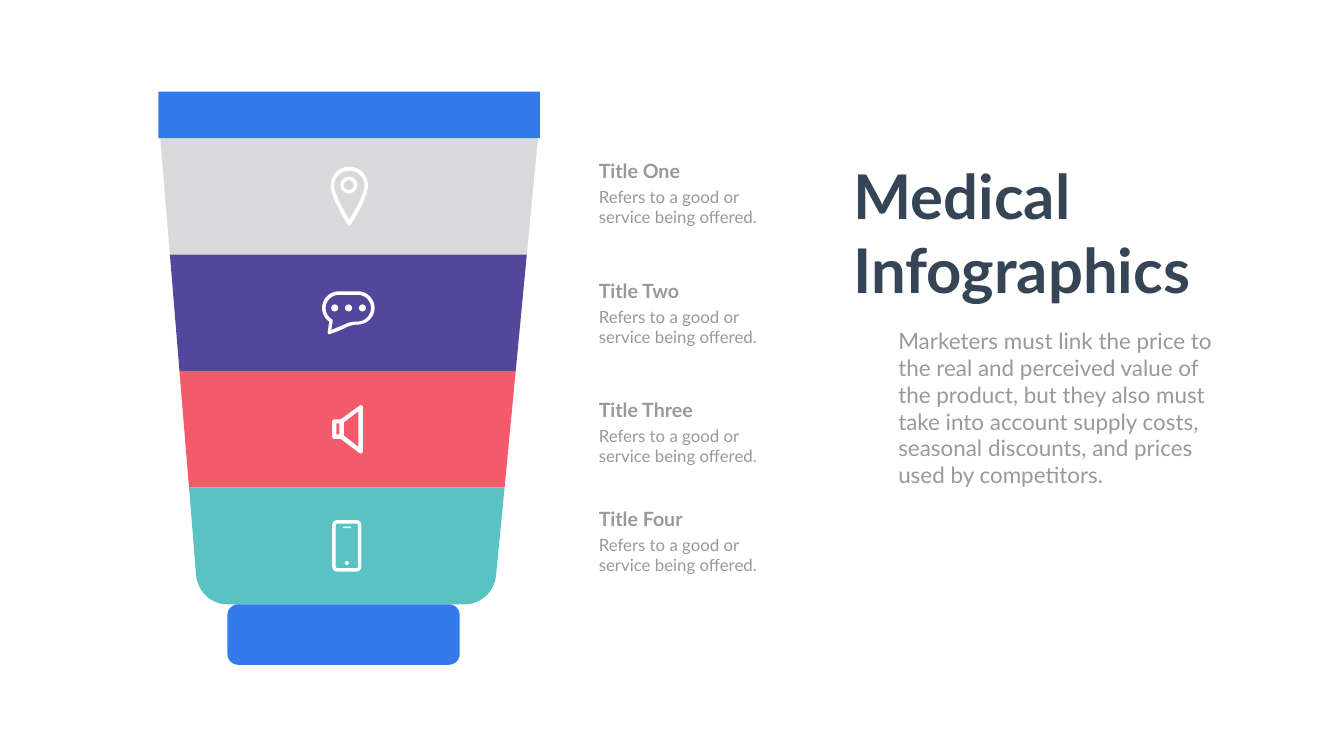
from dataclasses import dataclass
from typing import NamedTuple

from pptx import Presentation
from pptx import util as u
from pptx.dml.color import RGBColor
from pptx.enum import shapes, text

# The grid: one column and one row are one inch
COLUMNS, ROWS = 26.66, 15


@dataclass(frozen=True)
class Theme:
    font: str = "Lato"
    heading: str = "364556"
    muted: str = "999999"
    cap: str = "347AEB"
    icon: str = "FFFFFF"
    heading_size: int = 88
    intro_size: int = 32
    step_size: int = 28
    detail_size: int = 24


class Box(NamedTuple):
    left: float
    top: float
    width: float
    height: float


class Step(NamedTuple):
    title: str
    color: str
    row: float
    title_width: float


THEME = Theme()
STEPS = [
    Step("Title One", "D9D8DA", 3.10, 1.83),
    Step("Title Two", "52479B", 5.48, 1.86),
    Step("Title Three", "F45A69", 7.85, 2.11),
    Step("Title Four", "58C3C2", 10.00, 1.90),
]
DETAIL = "Refers to a good or\nservice being offered."
INTRO = ("Marketers must link the price to the real and perceived value of the product, "
         "but they also must take into account supply costs, seasonal discounts, "
         "and prices used by competitors.")

# Tube geometry
TUBE_LEFT, TUBE_RIGHT, TUBE_TOP, TUBE_BOTTOM = 3.18, 10.67, 2.74, 11.99
BAND_HEIGHT, LEFT_TAPER, RIGHT_TAPER = 2.31, 0.19, 0.22
STEP_LEFT, DETAIL_DROP = 11.78, 0.55


def trace(start: tuple, *segments: tuple, samples: int = 12) -> list:
    """Points along lines (x, y) and cubic curves (x1, y1, x2, y2, x, y)."""
    points = [start]
    for segment in segments:
        if len(segment) == 2:
            points.append(segment)
            continue
        controls = [points[-1], segment[:2], segment[2:4], segment[4:]]
        for i in range(1, samples + 1):
            t = i / samples
            weights = ((1 - t) ** 3, 3 * t * (1 - t) ** 2, 3 * t * t * (1 - t), t ** 3)
            points.append(tuple(sum(w * c[axis] for w, c in zip(weights, controls))
                                for axis in (0, 1)))
    return points


def mirrored(half: list, center: float) -> list:
    return half + [(2 * center - x, y) for x, y in reversed(half)]


def rounded(box: Box, radius: float) -> list:
    x, y, right, bottom = box.left, box.top, box.left + box.width, box.top + box.height
    k = radius * 0.45
    half = trace((x + box.width / 2, y), (x + radius, y),
                 (x + k, y, x, y + k, x, y + radius), (x, bottom - radius),
                 (x, bottom - k, x + k, bottom, x + radius, bottom))
    return mirrored(half, (x + right) / 2)


def paint(shape, color: str) -> None:
    shape.fill.solid()
    shape.fill.fore_color.rgb = RGBColor.from_string(color)
    shape.line.fill.background()
    shape.shadow.inherit = False


def add_outline(slide, color: str, *contours: list) -> None:
    """Fill one outline; further contours cut holes in it."""
    emu = [[(u.Inches(x), u.Inches(y)) for x, y in contour] for contour in contours]
    builder = slide.shapes.build_freeform(*emu[0][0], scale=1.0)
    for i, contour in enumerate(emu):
        if i:
            builder.move_to(*contour[0])
        builder.add_line_segments(contour[1:], close=True)
    paint(builder.convert_to_shape(), color)


def add_preset(slide, kind, box: Box, color: str):
    shape = slide.shapes.add_shape(kind, *(u.Inches(v) for v in box))
    paint(shape, color)
    return shape


def write(shape, words: str, *, size: int, color: str = THEME.muted,
          bold: bool = False, wrap: bool = False) -> None:
    frame = shape.text_frame
    frame.text = words
    frame.word_wrap = wrap
    frame.auto_size = text.MSO_AUTO_SIZE.SHAPE_TO_FIT_TEXT
    frame.vertical_anchor = text.MSO_ANCHOR.TOP
    for paragraph in frame.paragraphs:
        paragraph.alignment = text.PP_ALIGN.LEFT
        paragraph.space_before = u.Pt(0)
        font = paragraph.font
        font.name, font.size, font.bold = THEME.font, u.Pt(size), bold
        font.color.rgb = RGBColor.from_string(color)


def add_text(slide, words: str, box: Box, **form) -> None:
    write(slide.shapes.add_textbox(*(u.Inches(v) for v in box)), words, **form)


def draw_tube(slide) -> None:
    for i, step in enumerate(STEPS):
        top, left, right = (TUBE_TOP + BAND_HEIGHT * i, TUBE_LEFT + LEFT_TAPER * i,
                            TUBE_RIGHT - RIGHT_TAPER * i)
        if step is STEPS[-1]:
            band = trace((right, top), (left, top), (3.89, 11.41),
                         (3.92, 11.74, 4.19, 11.99, 4.51, TUBE_BOTTOM), (9.22, TUBE_BOTTOM),
                         (9.54, 11.99, 9.81, 11.74, 9.84, 11.42))
        else:
            bottom = top + BAND_HEIGHT
            band = [(left, top), (right, top), (right - RIGHT_TAPER, bottom),
                    (left + LEFT_TAPER, bottom)]
        add_outline(slide, step.color, band)
    # Crimp above, cap below
    add_preset(slide, shapes.MSO_SHAPE.RECTANGLE, Box(3.14, 1.82, 7.57, 0.92), THEME.cap)
    cap = add_preset(slide, shapes.MSO_SHAPE.ROUNDED_RECTANGLE,
                     Box(4.51, TUBE_BOTTOM, 4.61, 1.2), THEME.cap)
    cap.adjustments[0] = 0.18


def draw_icons(slide) -> None:
    # Map pin
    pin = trace((6.92, 3.31), (6.72, 3.31, 6.56, 3.48, 6.56, 3.68),
                (6.56, 3.78, 6.61, 3.94, 6.73, 4.16), (6.81, 4.32, 6.9, 4.46, 6.9, 4.46),
                (6.9, 4.47, 6.92, 4.48, 6.93, 4.48))
    pin_hole = trace((6.92, 3.39), (6.76, 3.39, 6.63, 3.52, 6.63, 3.68),
                     (6.63, 3.74, 6.66, 3.86, 6.79, 4.12), (6.85, 4.22, 6.9, 4.31, 6.93, 4.37))
    add_outline(slide, THEME.icon, mirrored(pin, 6.93), mirrored(pin_hole, 6.93))
    ring = add_preset(slide, shapes.MSO_SHAPE.DONUT, Box(6.75, 3.5, 0.34, 0.34), THEME.icon)
    ring.adjustments[0] = 0.21

    # Speech bubble
    bubble = trace((7.1, 5.78), (6.72, 5.78), (6.54, 5.78, 6.39, 5.93, 6.39, 6.11),
                   (6.39, 6.22, 6.44, 6.32, 6.53, 6.38), (6.5, 6.59),
                   (6.5, 6.62, 6.51, 6.63, 6.54, 6.63), (6.6, 6.61, 6.72, 6.57, 6.88, 6.49),
                   (6.95, 6.46, 7.02, 6.44, 7.1, 6.44), (7.28, 6.44, 7.43, 6.29, 7.43, 6.11),
                   (7.43, 5.93, 7.28, 5.78, 7.1, 5.78))
    bubble_hole = trace((7.1, 5.85), (6.72, 5.85), (6.58, 5.85, 6.46, 5.97, 6.46, 6.11),
                        (6.46, 6.2, 6.51, 6.29, 6.59, 6.34), (6.6, 6.37), (6.57, 6.55),
                        (6.63, 6.52, 6.74, 6.48, 6.85, 6.43),
                        (6.93, 6.39, 7.01, 6.38, 7.1, 6.38),
                        (7.24, 6.38, 7.36, 6.25, 7.36, 6.11),
                        (7.36, 5.97, 7.24, 5.85, 7.1, 5.85))
    add_outline(slide, THEME.icon, bubble, bubble_hole)
    for i in range(3):
        add_preset(slide, shapes.MSO_SHAPE.OVAL,
                   Box(6.57 + 0.275 * i, 6.04, 0.14, 0.14), THEME.icon)

    # Loudspeaker
    speaker = trace((7.13, 8.05), (6.76, 8.32), (6.63, 8.32),
                    (6.61, 8.32, 6.59, 8.34, 6.59, 8.36), (6.59, 8.66),
                    (6.59, 8.69, 6.61, 8.71, 6.63, 8.71), (6.76, 8.71), (7.13, 8.99),
                    (7.16, 9.01, 7.2, 8.98, 7.2, 8.95), (7.2, 8.08),
                    (7.2, 8.04, 7.16, 8.03, 7.13, 8.05))
    horn = [(7.11, 8.87), (6.82, 8.64), (6.82, 8.38), (7.11, 8.16)]
    magnet = [(6.73, 8.62), (6.67, 8.62), (6.67, 8.4), (6.73, 8.4)]
    add_outline(slide, THEME.icon, speaker, horn, magnet)

    # Phone
    add_outline(slide, THEME.icon, rounded(Box(6.59, 10.32, 0.58, 1.02), 0.1),
                rounded(Box(6.66, 10.39, 0.44, 0.88), 0.03))
    add_preset(slide, shapes.MSO_SHAPE.OVAL, Box(6.84, 11.13, 0.08, 0.08), THEME.icon)
    earpiece = add_preset(slide, shapes.MSO_SHAPE.ROUNDED_RECTANGLE,
                          Box(6.8, 10.45, 0.16, 0.03), THEME.icon)
    earpiece.adjustments[0] = 0.5


def main() -> None:
    deck = Presentation()
    deck.slide_width, deck.slide_height = u.Inches(COLUMNS), u.Inches(ROWS)
    slide = deck.slides.add_slide(deck.slide_layouts[5])

    draw_tube(slide)
    draw_icons(slide)

    # Step captions
    for step in STEPS:
        add_text(slide, DETAIL, Box(STEP_LEFT, step.row + DETAIL_DROP, 3.39, 0.91),
                 size=THEME.detail_size)
        add_text(slide, step.title, Box(STEP_LEFT, step.row, step.title_width, 0.57),
                 size=THEME.step_size, bold=True)

    # Heading and introduction
    add_text(slide, INTRO, Box(17.72, 6.44, 6.46, 3.33), size=THEME.intro_size, wrap=True)
    heading = slide.shapes.title
    heading.left, heading.top, heading.width, heading.height = (
        u.Inches(v) for v in Box(16.83, 3.09, 7.06, 3.06))
    write(heading, "Medical\nInfographics", size=THEME.heading_size,
          color=THEME.heading, bold=True)

    deck.save("out.pptx")


if __name__ == "__main__":
    main()
